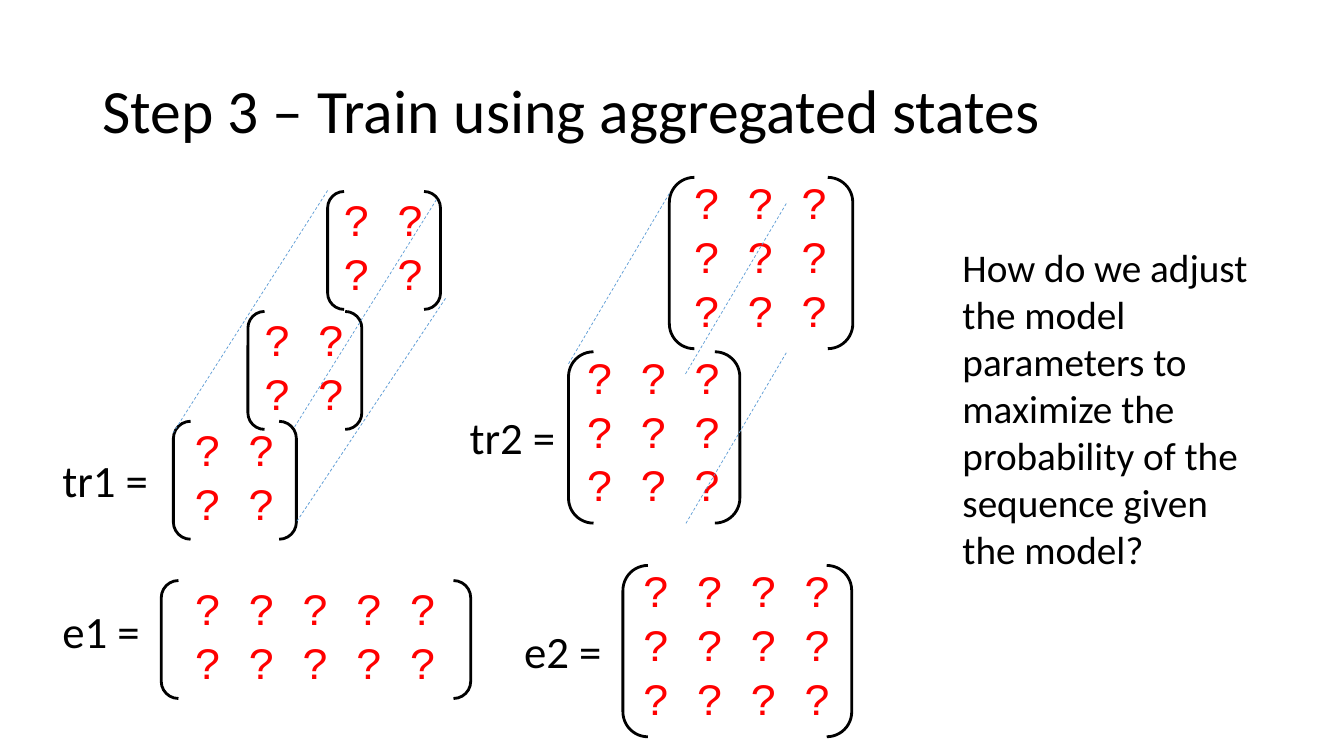
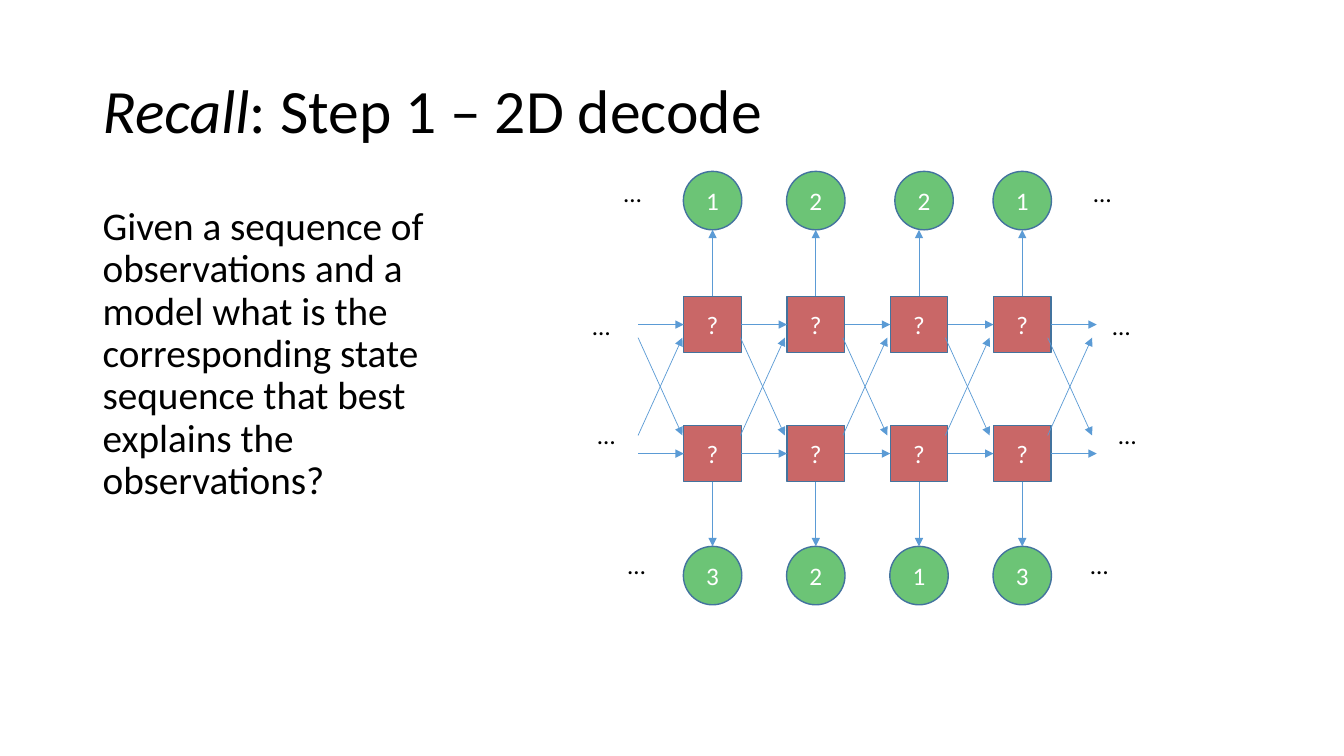
import collections

import pptx
import pptx.dml.color
import pptx.enum.dml
import pptx.enum.shapes
import pptx.enum.text
import pptx.oxml
import pptx.oxml.ns
import pptx.util

CELL = pptx.util.Inches(0.1)
COLUMNS, ROWS = 133.33, 75

BLACK = pptx.dml.color.RGBColor(0x00, 0x00, 0x00)
WHITE = pptx.dml.color.RGBColor(0xFF, 0xFF, 0xFF)
RED = pptx.dml.color.RGBColor(0xFF, 0x00, 0x00)
BLUE = pptx.dml.color.RGBColor(0x5B, 0x9B, 0xD5)
NAVY = pptx.dml.color.RGBColor(0x43, 0x73, 0x9E)
BRICK = pptx.dml.color.RGBColor(0xC9, 0x67, 0x67)
GREEN = pptx.dml.color.RGBColor(0x6C, 0xC4, 0x76)

SHAPES = pptx.enum.shapes.MSO_SHAPE
ANCHOR = pptx.enum.text.MSO_ANCHOR
ALIGN = pptx.enum.text.PP_ALIGN

TITLE = {"name": "Calibri", "size": pptx.util.Pt(44)}
BODY = {"name": "Calibri", "size": pptx.util.Pt(28)}
LABEL = {"name": "Calibri", "size": pptx.util.Pt(32)}
ENTRY = {"name": "Courier New", "size": pptx.util.Pt(32)}
NODE = {"name": "Calibri", "size": pptx.util.Pt(18)}

Box = collections.namedtuple("Box", "left top width height")
TITLE_BOX = Box(9.2, 4, 115, 14.5)


def cells(*lengths):
    return [round(length * CELL) for length in lengths]


def inside(box, left, top, width, height):
    return Box(box.left + left, box.top + top, width, height)


def write(shape, lines, style, color=BLACK, anchor=ANCHOR.TOP, **layout):
    frame = shape.text_frame
    frame.word_wrap = True
    frame.vertical_anchor = anchor
    for index, spans in enumerate(lines):
        para = frame.add_paragraph() if index else frame.paragraphs[0]
        for name, value in layout.items():
            setattr(para, name, value)
        for text, italic in spans:
            span = para.add_run()
            span.text = text
            for name, value in {**style, "italic": italic}.items():
                setattr(span.font, name, value)
            span.font.color.rgb = color


def plain(text):
    return [(text, False)]


def add_text(page, box, spans, style, **layout):
    write(page.shapes.add_textbox(*cells(*box)), [spans], style, **layout)


def add_title(page, spans):
    add_text(page, TITLE_BOX, spans, TITLE, anchor=ANCHOR.MIDDLE, line_spacing=0.9)


def add_line(page, start, end, dashed=False, arrow=False):
    line = page.shapes.add_connector(
        pptx.enum.shapes.MSO_CONNECTOR.STRAIGHT, *cells(*start, *end))
    line.line.color.rgb = BLUE
    line.line.width = pptx.util.Pt(0.5)
    if dashed:
        line.line.dash_style = pptx.enum.dml.MSO_LINE.DASH
    properties = line.element.spPr
    if arrow:
        outline = properties.find(pptx.oxml.ns.qn("a:ln"))
        head = pptx.oxml.parse_xml(
            "<a:tailEnd %s type='triangle'/>" % pptx.oxml.ns.nsdecls("a"))
        outline.append(head)
    properties.append(pptx.oxml.parse_xml(
        "<a:effectLst %s/>" % pptx.oxml.ns.nsdecls("a")))
    return line


def add_matrix(page, box, rows, columns):
    bracket = page.shapes.add_shape(SHAPES.DOUBLE_BRACKET, *cells(*box))
    bracket.shadow.inherit = False
    bracket.adjustments[0] = 0.146
    bracket.fill.background()
    bracket.line.color.rgb = BLACK
    bracket.line.width = pptx.util.Pt(2)
    row = plain(" ".join("?" * columns))
    write(bracket, [row] * rows, ENTRY, RED, ANCHOR.BOTTOM, alignment=ALIGN.CENTER)


def add_parameter(page, box, name, label_top, size, layers, guides=()):
    add_text(page, inside(box, 0, label_top, 10.8, 6.4), plain(name + " ="), LABEL)
    for layer in layers:
        add_matrix(page, inside(box, *layer), *size)
    for x1, y1, x2, y2 in guides:
        add_line(page, (box.left + x1, box.top + y1),
                 (box.left + x2, box.top + y2), dashed=True)


def add_node(page, kind, box, text, color):
    node = page.shapes.add_shape(kind, *cells(*box))
    node.shadow.inherit = False
    node.fill.solid()
    node.fill.fore_color.rgb = color
    node.line.color.rgb = NAVY
    node.line.width = pptx.util.Pt(1)
    write(node, [plain(text)], NODE, WHITE, ANCHOR.MIDDLE, alignment=ALIGN.CENTER)
    return node


def add_chain(page, box, states):
    middle = box.top + box.height / 2
    right = box.left + box.width
    gap = (box.width - sum(state.width for state in states) / CELL) / (len(states) + 1)
    for before, after in zip([None] + states, states + [None]):
        start = (box.left, middle)
        end = (box.left + gap, middle) if after else (right, middle)
        if before and not after:
            start = (right - gap, middle)
        arrow = add_line(page, start, end, arrow=True)
        if before:
            arrow.begin_connect(before, 3)
        if after:
            arrow.end_connect(after, 1)


def add_lattice(page, box, upper, lower):
    count, width, height, circle = len(upper), 5.7, 5.6, 5.8
    gap = (box.width - count * width) / (count + 1)
    pitch = gap + width
    upper_states, lower_states = 12.4, 25.2
    shifts = {(0, 2): 0.5}
    layers = ((upper, 0, upper_states, 0), (lower, box.height - circle, lower_states, 2))
    for row, (values, circle_top, state_top, side) in enumerate(layers):
        states = []
        for index, value in enumerate(values):
            left = gap + index * pitch
            state = add_node(page, SHAPES.RECTANGLE,
                             inside(box, left, state_top, width, height), "?", BRICK)
            shift = shifts.get((row, index), 0) + (width - circle) / 2
            add_node(page, SHAPES.OVAL,
                     inside(box, left + shift, circle_top, circle, circle), value, GREEN)
            center = box.left + left + width / 2
            tip = box.top + (circle_top if side else circle)
            arrow = add_line(page, (center, tip), (center, tip), arrow=True)
            arrow.begin_connect(state, side)
            states.append(state)
        add_chain(page, inside(box, 0, state_top, box.width, height), states)
    high, low = box.top + 16.5, box.top + 26.2
    for index in range(count + 1):
        left = box.left + index * (pitch - 0.08)
        for start, end in ((low, high), (high, low)):
            add_line(page, (left, start), (left + 4.4, end), arrow=True)
    ellipses = ((-2.4, 44.2, 0.1), (-5.5, 46.1, 13.3), (-5, 46.7, 24.1), (-2, 43.9, 37))
    for left, right, top in ellipses:
        for edge in (left, right):
            add_text(page, inside(box, edge, top, 3.5, 4), plain("…"), NODE)


def build_training(page):
    add_title(page, plain("Step 3 – Train using aggregated states"))
    add_parameter(page, Box(5.2, 18.9, 39, 34.6), "tr1", 25.5, (2, 2),
                  ((12, 22.9, 12.2, 11.7), (19.4, 12, 11.3, 11.7), (27.3, 0.1, 11.2, 11.7)),
                  ((27.3, 0, 12, 24), (38.1, 0.9, 24, 23.5), (39, 10.7, 24.2, 32.9)))
    add_parameter(page, Box(45.6, 17.6, 39, 34.3), "tr2", 22.6, (3, 3),
                  ((10.8, 17.3, 17, 17), (20.8, 0, 18.2, 17)),
                  ((20.8, 1.6, 10.8, 18.5), (32.4, 2.6, 22.4, 19.5), (32.4, 17.4, 22.4, 34.4)))
    add_parameter(page, Box(5.2, 57.6, 41.5, 11.7), "e1", 1.8, (2, 5),
                  ((10.8, 0, 30.7, 11.7),))
    add_parameter(page, Box(51, 56.1, 33.5, 17), "e2", 5.3, (3, 4),
                  ((10.8, 0, 22.7, 17),))
    add_text(page, Box(94.5, 23.6, 30.7, 38.7), plain(
        "How do we adjust the model parameters to maximize the probability "
        "of the sequence given the model?"), BODY)


def build_decode(page):
    add_title(page, [("Recall", True), (": Step 1 – 2D decode", False)])
    add_text(page, Box(9.2, 20, 34.5, 45), plain(
        "Given a sequence of observations and a model what is the corresponding "
        "state sequence that best explains the observations?"), BODY, line_spacing=0.9)
    add_lattice(page, Box(63.3, 17, 45.5, 43), "1221", "3213")


def main():
    deck = pptx.Presentation()
    deck.slide_width, deck.slide_height = cells(COLUMNS, ROWS)
    for build in (build_training, build_decode):
        build(deck.slides.add_slide(deck.slide_layouts[6]))
    deck.save("out.pptx")


if __name__ == "__main__":
    main()
